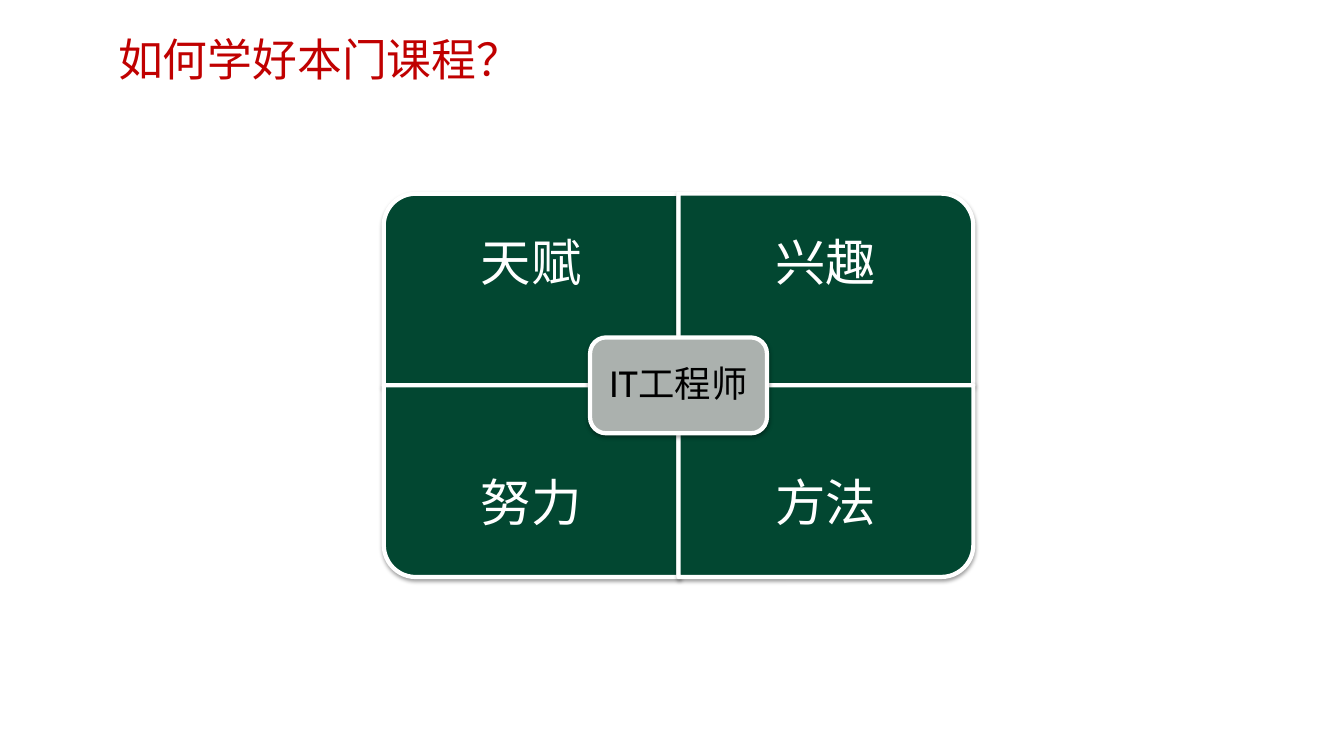
from dataclasses import dataclass

from lxml.etree import SubElement
from pptx import Presentation
from pptx.dml.color import RGBColor
from pptx.enum.shapes import MSO_SHAPE
from pptx.enum.text import MSO_ANCHOR, MSO_AUTO_SIZE, PP_ALIGN
from pptx.oxml.ns import qn
from pptx.util import Cm, Pt


@dataclass(frozen=True)
class Theme:
    """Colours, fonts and type sizes of the slide."""
    green: RGBColor = RGBColor(0x02, 0x47, 0x31)
    grey: RGBColor = RGBColor(0xAB, 0xB1, 0xAE)
    red: RGBColor = RGBColor(0xC0, 0x00, 0x00)
    white: RGBColor = RGBColor(0xFF, 0xFF, 0xFF)
    black: RGBColor = RGBColor(0x00, 0x00, 0x00)
    latin: str = "Cabin"
    chinese: str = "Noto Sans CJK SC"
    title_size: Pt = Pt(32)
    quadrant_size: Pt = Pt(36)
    hub_size: Pt = Pt(26)
    border: Pt = Pt(3)


THEME = Theme()


def apply_format(target, values):
    """Set each attribute of the target from a dict of format values."""
    for name, value in values.items():
        setattr(target, name, value)


def write_text(frame, text, frame_format, para_format, font_format):
    """Write one formatted paragraph into a text frame."""
    apply_format(frame, frame_format)
    para = frame.paragraphs[0]
    apply_format(para, para_format)
    span = para.add_run()
    span.text = text
    font = dict(font_format)
    span.font.color.rgb = font.pop("color")
    apply_format(span.font, font)
    east_asian = SubElement(span.font._element, qn("a:ea"))
    east_asian.set("typeface", THEME.chinese)


def add_label(page, box, text, inset, font_format, fit=MSO_AUTO_SIZE.NONE):
    """Place centred text in a box."""
    label = page.shapes.add_textbox(*box)
    margins = {f"margin_{side}": inset for side in ("left", "top", "right", "bottom")}
    write_text(
        label.text_frame, text,
        {"word_wrap": True, "auto_size": fit, "vertical_anchor": MSO_ANCHOR.MIDDLE, **margins},
        {"alignment": PP_ALIGN.CENTER, "line_spacing": 0.9},
        {"name": THEME.latin, **font_format},
    )


def add_card(page, kind, box, fill, rotation=0):
    """Draw a white-bordered card with a soft shadow, turned within its box."""
    left, top, width, height = box
    if rotation % 180:
        left, top = left + (width - height) // 2, top + (height - width) // 2
        width, height = height, width
    card = page.shapes.add_shape(kind, left, top, width, height)
    card.rotation = rotation
    card.fill.solid()
    card.fill.fore_color.rgb = fill
    card.line.color.rgb = THEME.white
    card.line.width = THEME.border
    card.shadow.inherit = False
    effects = card._element.spPr.find(qn("a:effectLst"))
    shadow = SubElement(effects, qn("a:outerShdw"), blurRad="40000", dist="20000",
                        dir="5400000", rotWithShape="0")
    colour = SubElement(shadow, qn("a:srgbClr"), val="000000")
    SubElement(colour, qn("a:alpha"), val="38000")


def add_title(page, box, text):
    """Format the title placeholder within the given box."""
    title = page.shapes.title
    apply_format(title, dict(zip(("left", "top", "width", "height"), box)))
    write_text(
        title.text_frame, text,
        {"word_wrap": True, "auto_size": MSO_AUTO_SIZE.NONE, "vertical_anchor": MSO_ANCHOR.TOP},
        {"alignment": PP_ALIGN.LEFT},
        {"name": THEME.chinese, "size": THEME.title_size, "color": THEME.red},
    )


def add_matrix(page, box, quadrants, hub):
    """Draw four quadrants with outer rounded corners around a central hub."""
    left, top, width, height = box
    cell_width, cell_height = width // 2, height // 2
    label_height = cell_height * 3 // 4
    for index, (text, rotation) in enumerate(quadrants):
        row, column = divmod(index, 2)
        x, y = left + column * cell_width, top + row * cell_height
        add_card(page, MSO_SHAPE.ROUND_1_RECTANGLE, (x, y, cell_width, cell_height),
                 THEME.green, rotation)
        label_top = y + row * (cell_height - label_height)
        add_label(page, (x, label_top, cell_width, label_height), text, Cm(0.71),
                  {"size": THEME.quadrant_size, "color": THEME.white})
    hub_width, hub_height = cell_width * 3 // 5, cell_height // 2
    x, y = left + (width - hub_width) // 2, top + (height - hub_height) // 2
    add_card(page, MSO_SHAPE.ROUNDED_RECTANGLE, (x, y, hub_width, hub_height), THEME.grey)
    gap = Cm(0.12)
    add_label(page, (x + gap, y + gap, hub_width - 2 * gap, hub_height - 2 * gap), hub, Cm(0.28),
              {"size": THEME.hub_size, "color": THEME.black}, MSO_AUTO_SIZE.TEXT_TO_FIT_SHAPE)


def main():
    """Build and save the slide."""
    deck = Presentation()
    deck.slide_width, deck.slide_height = Cm(33.87), Cm(19.05)
    page = deck.slides.add_slide(deck.slide_layouts[5])
    add_title(page, (Cm(2.72), Cm(0.66), Cm(22.76), Cm(1.37)), "如何学好本门课程？")
    add_matrix(page, (Cm(9.67), Cm(4.88), Cm(14.86), Cm(9.66)),
               (("天赋", 270), ("兴趣", 0), ("努力", 180), ("方法", 90)), "IT工程师")
    deck.save("out.pptx")


if __name__ == "__main__":
    main()
